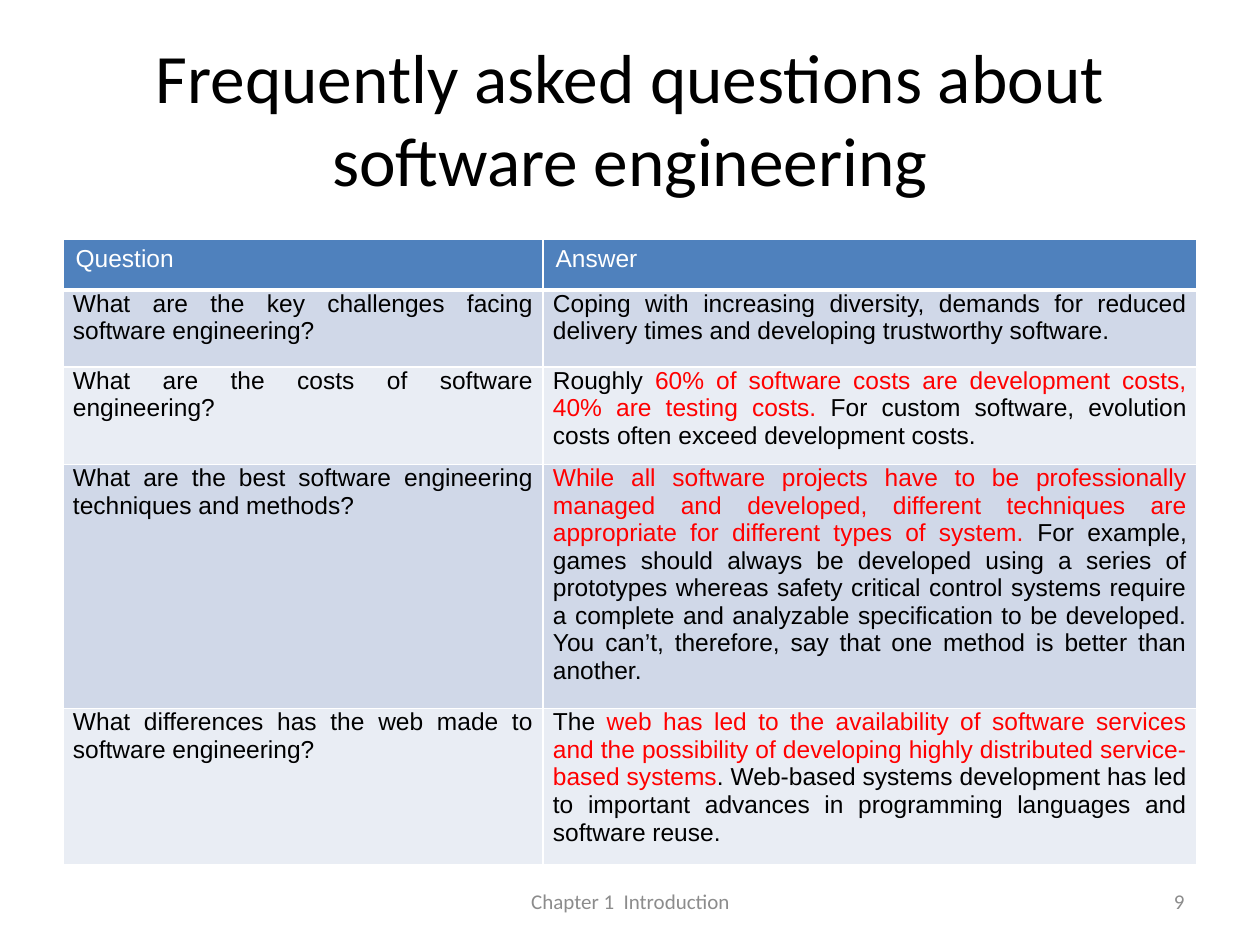
from lxml import etree
from pptx import Presentation
from pptx.dml.color import RGBColor
from pptx.enum.text import MSO_ANCHOR as Anchor, PP_ALIGN as Align
from pptx.oxml import parse_xml
from pptx.oxml.ns import nsdecls
from pptx.util import Pt

PX = 914400 / 126
WHITE, BLACK, RED, GRAY = "FFFFFF", "000000", "FF0000", "8C8C8C"
HEADER_FILL, BAND_FILLS = "4F81BD", ("D0D8E8", "E9EDF4")


def px(length):
    return round(length * PX)


def color(hex_string):
    return RGBColor.from_string(hex_string)


presentation = Presentation()
presentation.slide_width, presentation.slide_height = px(1260), px(945)
slide = presentation.slides.add_slide(presentation.slide_layouts[6])

# Title, footer and slide number
for text, box, size, ink, align in (
    ("Frequently asked questions about software engineering",
     (63, 38, 1134, 158), 39.6, BLACK, Align.CENTER),
    ("Chapter 1  Introduction", (431, 876, 399, 50), 12, GRAY, Align.CENTER),
    ("9", (903, 876, 294, 50), 12, GRAY, Align.RIGHT),
):
    frame = slide.shapes.add_textbox(*map(px, box)).text_frame
    frame.word_wrap = True
    frame.vertical_anchor = Anchor.MIDDLE
    paragraph = frame.paragraphs[0]
    paragraph.text = text
    paragraph.alignment = align
    paragraph.font.name, paragraph.font.size = "Calibri", Pt(size)
    paragraph.font.color.rgb = color(ink)

# Text between asterisks is highlighted in red
rows = [
    ("Question", "Answer"),
    ("What are the key challenges facing software engineering?",
     "Coping with increasing diversity, demands for reduced delivery times "
     "and developing trustworthy software."),
    ("What are the costs of software engineering?",
     "Roughly *60% of software costs are development costs, 40% are testing "
     "costs.* For custom software, evolution costs often exceed development "
     "costs."),
    ("What are the best software engineering techniques and methods?",
     "*While all software projects have to be professionally managed and "
     "developed, different techniques are appropriate for different types of "
     "system. *For example, games should always be developed using a series "
     "of prototypes whereas safety critical control systems require a "
     "complete and analyzable specification to be developed. You can’t, "
     "therefore, say that one method is better than another."),
    ("What differences has the web made to software engineering?",
     "The *web has led to the availability of software services and the "
     "possibility of developing highly distributed service-based systems*. "
     "Web-based systems development has led to important advances in "
     "programming languages and software reuse."),
]
row_heights = (51, 77, 92, 229, 148)
column_widths = (480, 654)

table = slide.shapes.add_table(
    len(rows), 2, px(63), px(239), px(sum(column_widths)), px(sum(row_heights))
).table
for column, width in zip(table.columns, column_widths):
    column.width = px(width)

for row_index, (row, height) in enumerate(zip(rows, row_heights)):
    table.rows[row_index].height = px(height)
    is_header = row_index == 0
    for column_index, text in enumerate(row):
        cell = table.cell(row_index, column_index)
        cell.fill.solid()
        cell.fill.fore_color.rgb = color(
            HEADER_FILL if is_header else BAND_FILLS[(row_index - 1) % 2])

        paragraph = cell.text_frame.paragraphs[0]
        paragraph.font.name, paragraph.font.size = "Arial", Pt(14)
        if not is_header:
            paragraph.alignment = Align.JUSTIFY
            cell.margin_left = cell.margin_right = px(10)
            cell.margin_top, cell.margin_bottom = 0, px(9)
        for part_index, part in enumerate(text.split("*")):
            if part:
                run = paragraph.add_run()
                run.text = part
                ink = WHITE if is_header else (BLACK, RED)[part_index % 2]
                run.font.color.rgb = color(ink)

        properties = cell._tc.get_or_add_tcPr()
        for position, side in enumerate("LRTB"):
            thick = (is_header and side == "B") or (row_index == 1 and side == "T")
            border = parse_xml(
                f'<a:ln{side} {nsdecls("a")} w="{Pt(3 if thick else 1)}"/>')
            fill = etree.SubElement(border, border.tag.replace(f"ln{side}", "solidFill"))
            etree.SubElement(
                fill, fill.tag.replace("solidFill", "srgbClr"), val=WHITE)
            properties.insert(position, border)

presentation.save("out.pptx")
